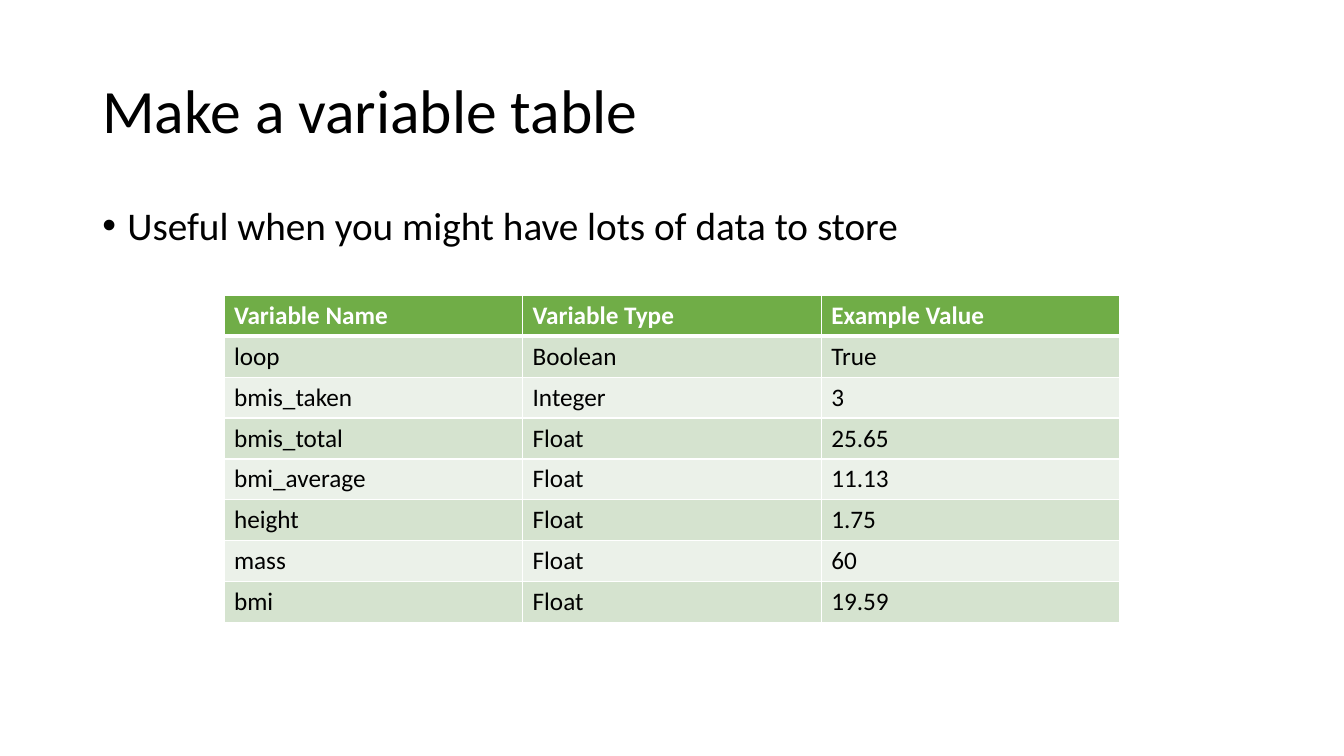
import pptx
import pptx.dml.color
import pptx.enum.text
import pptx.oxml
import pptx.oxml.ns
import pptx.util

TITLE = "Make a variable table"
BULLET = "Useful when you might have lots of data to store"
VARIABLES = [
    ("Variable Name", "Variable Type", "Example Value"),
    ("loop", "Boolean", "True"),
    ("bmis_taken", "Integer", "3"),
    ("bmis_total", "Float", "25.65"),
    ("bmi_average", "Float", "11.13"),
    ("height", "Float", "1.75"),
    ("mass", "Float", "60"),
    ("bmi", "Float", "19.59"),
]
FONT = "Calibri"
BLACK, WHITE = "000000", "FFFFFF"
HEADER_FILL = "70AD47"
BAND_FILLS = ("EBF1E9", "D5E3CF")
COLUMN_WIDTH, ROW_HEIGHT = 213.33, 29.2

Pt = pptx.util.Pt


def color(hex_text):
    return pptx.dml.color.RGBColor.from_string(hex_text)


def add_span(para, text, size, hex_text=BLACK, bold=False):
    span = para.add_run()
    span.text = text
    span.font.name = FONT
    span.font.size = Pt(size)
    span.font.bold = bold
    span.font.color.rgb = color(hex_text)


def add_text(page, text, size, left, top, width, height, anchor):
    box = page.shapes.add_textbox(Pt(left), Pt(top), Pt(width), Pt(height))
    frame = box.text_frame
    frame.word_wrap = True
    frame.vertical_anchor = anchor
    para = frame.paragraphs[0]
    para.line_spacing = 0.9
    add_span(para, text, size)
    return para


def add_bullet(para, indent):
    properties = para._p.get_or_add_pPr()
    properties.set("marL", str(Pt(indent)))
    properties.set("indent", str(-Pt(indent)))
    namespace = pptx.oxml.ns.nsdecls("a")
    properties.append(pptx.oxml.parse_xml(f'<a:buFont {namespace} typeface="Arial"/>'))
    properties.append(pptx.oxml.parse_xml(f'<a:buChar {namespace} char="•"/>'))


def add_borders(cell, widths):
    properties = cell._tc.get_or_add_tcPr()
    for side, width in widths.items():
        properties.append(pptx.oxml.parse_xml(
            f'<a:ln{side} {pptx.oxml.ns.nsdecls("a")} w="{Pt(width)}">'
            f'<a:solidFill><a:srgbClr val="{WHITE}"/></a:solidFill></a:ln{side}>'))


def add_variable_table(page, left, top):
    rows, columns = len(VARIABLES), len(VARIABLES[0])
    table = page.shapes.add_table(
        rows, columns, Pt(left), Pt(top),
        Pt(columns * COLUMN_WIDTH), Pt(rows * ROW_HEIGHT)).table
    for column in table.columns:
        column.width = Pt(COLUMN_WIDTH)
    for index, values in enumerate(VARIABLES):
        table.rows[index].height = Pt(ROW_HEIGHT)
        header = index == 0
        widths = {"L": 1, "R": 1, "T": 3 if index == 1 else 1, "B": 3 if header else 1}
        for position, value in enumerate(values):
            cell = table.cell(index, position)
            add_borders(cell, widths)
            cell.fill.solid()
            cell.fill.fore_color.rgb = color(HEADER_FILL if header else BAND_FILLS[index % 2])
            add_span(cell.text_frame.paragraphs[0], value, 18,
                     WHITE if header else BLACK, header)


def main():
    deck = pptx.Presentation()
    deck.slide_width, deck.slide_height = Pt(960), Pt(540)
    page = deck.slides.add_slide(deck.slide_layouts[6])
    anchors = pptx.enum.text.MSO_ANCHOR
    add_text(page, TITLE, 44, 66, 28.75, 828, 104.4, anchors.MIDDLE)
    bullet = add_text(page, BULLET, 28, 66, 143.75, 828, 342.6, anchors.TOP)
    add_bullet(bullet, 18)
    add_variable_table(page, 160, 211)
    deck.save("out.pptx")


if __name__ == "__main__":
    main()
